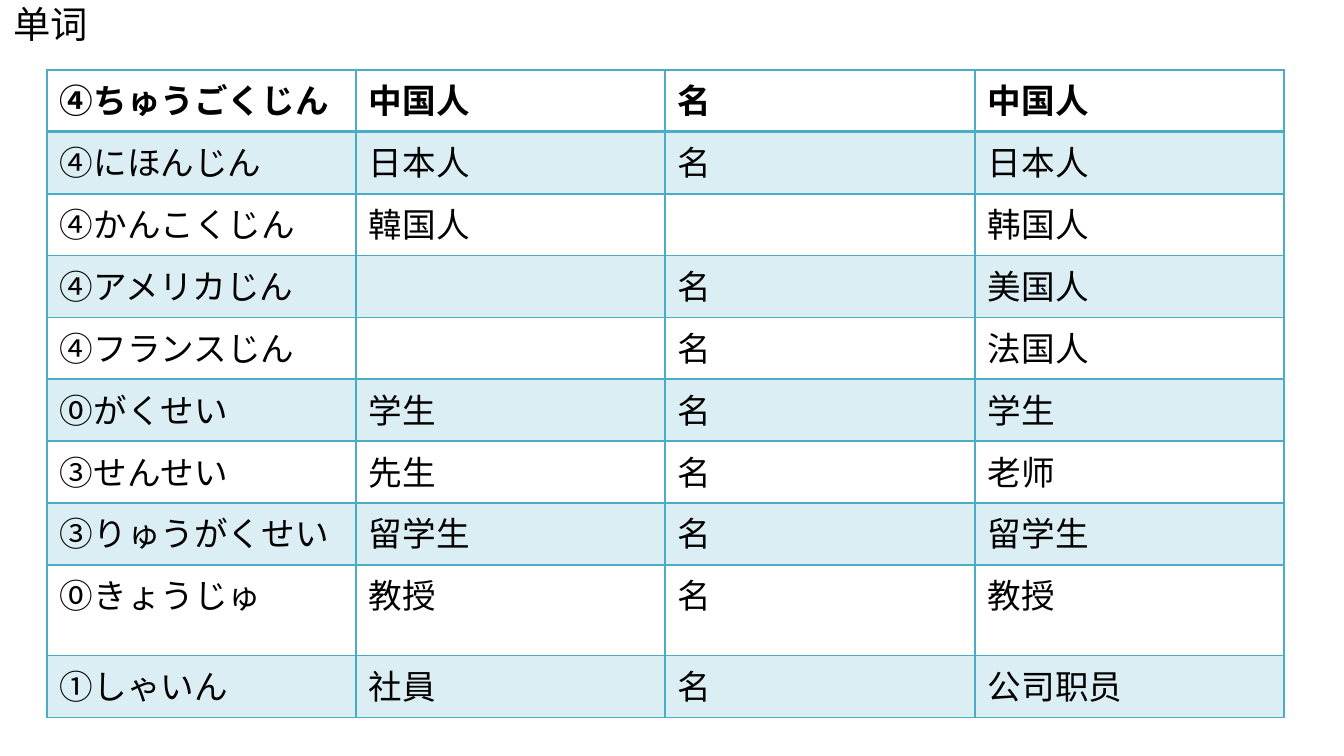
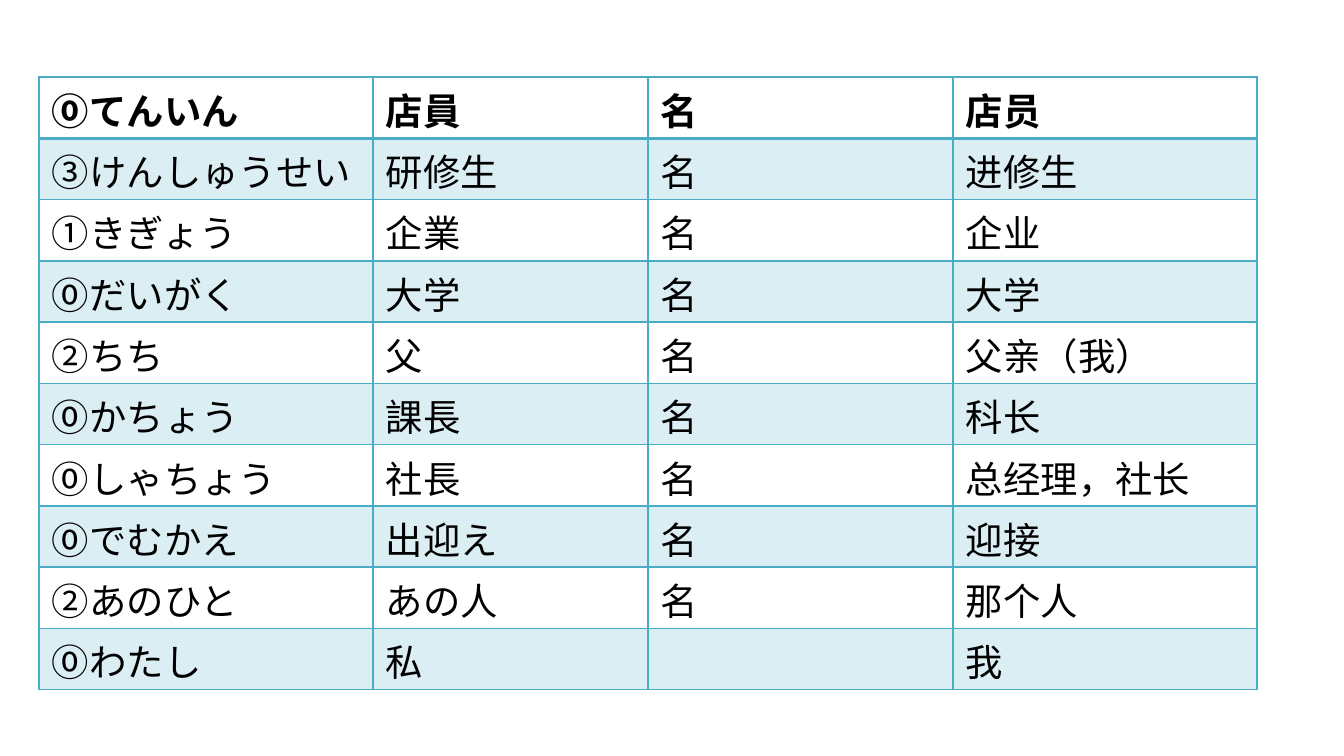
"""Build two Japanese vocabulary slides, each with a banded word table."""
from lxml.etree import SubElement
from pptx import Presentation
from pptx.dml.color import RGBColor
from pptx.enum.text import MSO_ANCHOR, MSO_AUTO_SIZE, PP_ALIGN
from pptx.oxml.ns import qn
from pptx.util import Pt

FONT = "Noto Sans CJK SC"
INK = "000000"
TEAL = "4BACC6"
BAND_OPACITY = 20
PX_PER_INCH = 134.4
TITLE_ONLY, BLANK = 5, 6

NATIONS_AND_ROLES = [
    ("④ちゅうごくじん", "中国人", "名", "中国人"),
    ("④にほんじん", "日本人", "名", "日本人"),
    ("④かんこくじん", "韓国人", "", "韩国人"),
    ("④アメリカじん", "", "名", "美国人"),
    ("④フランスじん", "", "名", "法国人"),
    ("⓪がくせい", "学生", "名", "学生"),
    ("③せんせい", "先生", "名", "老师"),
    ("③りゅうがくせい", "留学生", "名", "留学生"),
    ("⓪きょうじゅ", "教授", "名", "教授"),
    ("①しゃいん", "社員", "名", "公司职员"),
]
WORK_AND_PEOPLE = [
    ("⓪てんいん", "店員", "名", "店员"),
    ("③けんしゅうせい", "研修生", "名", "进修生"),
    ("①きぎょう", "企業", "名", "企业"),
    ("⓪だいがく", "大学", "名", "大学"),
    ("②ちち", "父", "名", "父亲（我）"),
    ("⓪かちょう", "課長", "名", "科长"),
    ("⓪しゃちょう", "社長", "名", "总经理，社长"),
    ("⓪でむかえ", "出迎え", "名", "迎接"),
    ("②あのひと", "あの人", "名", "那个人"),
    ("⓪わたし", "私", "", "我"),
]
LESSONS = [
    {"title": "单词", "words": NATIONS_AND_ROLES, "corner": (47, 70), "size": 18,
     "columns": (309, 309, 310, 309), "height": 648, "extra": {8: 29}},
    {"title": "", "words": WORK_AND_PEOPLE, "corner": (39, 77), "size": 20,
     "columns": (334, 275, 305, 304), "height": 613, "extra": {}},
]


def px(length):
    """Turn pixels into EMU."""
    return round(length * 914400 / PX_PER_INCH)


def rgb(code):
    """Turn a hex string into a colour."""
    return RGBColor.from_string(code)


def write(paragraph, words, size, bold=False):
    """Add one run in the shared font."""
    run = paragraph.add_run()
    run.text = words
    run.font.size = Pt(size)
    run.font.bold = bold
    run.font.color.rgb = rgb(INK)
    run.font.name = FONT
    SubElement(run._r.rPr, qn("a:ea"), typeface=FONT)


def draw_borders(cell, row):
    """Rule the four cell edges, with a heavier line under the header."""
    widths = {"lnL": 1, "lnR": 1, "lnT": 2 if row == 1 else 1, "lnB": 2 if row == 0 else 1}
    for edge, width in widths.items():
        line = SubElement(cell._tc.get_or_add_tcPr(), qn(f"a:{edge}"), w=str(Pt(width)))
        SubElement(SubElement(line, qn("a:solidFill")), qn("a:srgbClr"), val=TEAL)


def fill_band(cell, row):
    """Tint every second row and leave the others clear."""
    if row % 2 == 0:
        cell.fill.background()
        return
    cell.fill.solid()
    cell.fill.fore_color.rgb = rgb(TEAL)
    tint = cell._tc.tcPr.find(qn("a:solidFill")).find(qn("a:srgbClr"))
    SubElement(tint, qn("a:alpha"), val=str(BAND_OPACITY * 1000))


def place_title(slide, words):
    """Put the title in the top left corner."""
    title = slide.shapes.title
    title.left, title.top, title.width, title.height = 0, 0, px(196), px(59)
    frame = title.text_frame
    frame.auto_size = MSO_AUTO_SIZE.NONE
    frame.vertical_anchor = MSO_ANCHOR.TOP
    frame.margin_left = frame.margin_right = px(13)
    frame.margin_top = frame.margin_bottom = px(1)
    frame.paragraphs[0].alignment = PP_ALIGN.LEFT
    write(frame.paragraphs[0], words, 20)


def place_words(slide, lesson):
    """Lay out the word table of one lesson."""
    words, columns, extra = lesson["words"], lesson["columns"], lesson["extra"]
    left, top = lesson["corner"]
    row_height = (lesson["height"] - sum(extra.values())) / len(words)
    table = slide.shapes.add_table(
        len(words), len(columns), px(left), px(top), px(sum(columns)), px(lesson["height"])).table
    table.first_row = table.horz_banding = False
    for column, width in zip(table.columns, columns):
        column.width = px(width)
    for row, entry in enumerate(words):
        table.rows[row].height = px(row_height + extra.get(row, 0))
        for column, word in enumerate(entry):
            cell = table.cell(row, column)
            cell.margin_left = cell.margin_right = px(13)
            cell.margin_top, cell.margin_bottom = px(5), px(1)
            draw_borders(cell, row)
            fill_band(cell, row)
            if word:
                write(cell.text_frame.paragraphs[0], word, lesson["size"], bold=row == 0)


def main():
    """Build and save the deck."""
    deck = Presentation()
    deck.slide_width, deck.slide_height = px(1344), px(756)
    for lesson in LESSONS:
        layout = deck.slide_layouts[TITLE_ONLY if lesson["title"] else BLANK]
        slide = deck.slides.add_slide(layout)
        place_words(slide, lesson)
        if lesson["title"]:
            place_title(slide, lesson["title"])
    deck.save("out.pptx")


if __name__ == "__main__":
    main()
